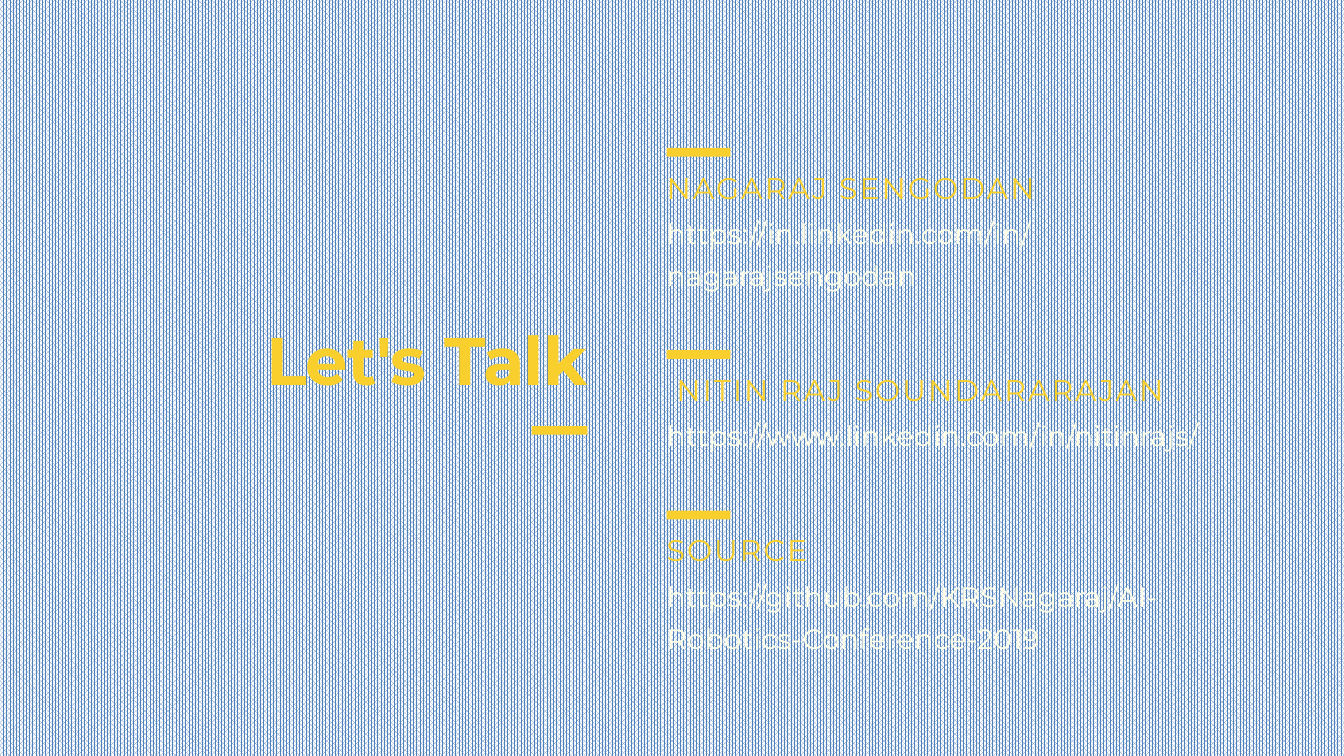
import pptx
import pptx.dml.color
import pptx.enum.dml
import pptx.enum.shapes
import pptx.enum.text
import pptx.util
from pptx.util import Inches

YELLOW = "F8CF2C"
CREAM = "FFFEE6"


def color(hex_string):
    return pptx.dml.color.RGBColor.from_string(hex_string)


class ContactSlide:
    """Holds the style and the slide being filled."""

    font_name = "Montserrat"
    bar_height = 0.13

    def __init__(self, presentation):
        self.slide = presentation.slides.add_slide(presentation.slide_layouts[5])

    def background(self, front, back):
        fill = self.slide.background.fill
        fill.patterned()
        fill.pattern = pptx.enum.dml.MSO_PATTERN.PERCENT_70
        fill.fore_color.rgb = color(front)
        fill.back_color.rgb = color(back)

    def set_text(self, shape, text, size, line_points, hex_color, spacing,
                 bold=False, align=pptx.enum.text.PP_ALIGN.LEFT):
        frame = shape.text_frame
        frame.text = text
        frame.word_wrap = True
        frame.auto_size = pptx.enum.text.MSO_AUTO_SIZE.NONE
        frame.vertical_anchor = pptx.enum.text.MSO_ANCHOR.TOP
        frame.margin_left = frame.margin_right = 0
        frame.margin_top = frame.margin_bottom = 0
        paragraph = frame.paragraphs[0]
        paragraph.alignment = align
        paragraph.line_spacing = pptx.util.Pt(line_points)
        font = paragraph.font
        font.name = self.font_name
        font.size = pptx.util.Pt(size)
        font.bold = bold
        font.color.rgb = color(hex_color)
        # Letter spacing, in hundredths of a point
        font._element.set("spc", str(round(spacing * 100)))

    def title(self, text, left, top, width, height):
        shape = self.slide.shapes.title
        shape.left, shape.top = Inches(left), Inches(top)
        shape.width, shape.height = Inches(width), Inches(height)
        self.set_text(shape, text, 72, 79.2, YELLOW, -0.7, bold=True,
                      align=pptx.enum.text.PP_ALIGN.RIGHT)

    def text_box(self, text, left, top, width, height, **style):
        shape = self.slide.shapes.add_textbox(
            Inches(left), Inches(top), Inches(width), Inches(height))
        self.set_text(shape, text, **style)

    def bar(self, left, top, width):
        shape = self.slide.shapes.add_shape(
            pptx.enum.shapes.MSO_SHAPE.RECTANGLE,
            Inches(left), Inches(top), Inches(width), Inches(self.bar_height))
        shape.shadow.inherit = False
        shape.fill.solid()
        shape.fill.fore_color.rgb = color(YELLOW)
        shape.line.fill.background()

    def contact(self, name, address, top, address_height):
        left, width = 9.92, 9.04
        self.bar(left, top, 0.95)
        self.text_box(name, left, top + 0.23, width, 0.57,
                      size=32, line_points=44.8, hex_color=YELLOW, spacing=2.2)
        self.text_box(address, left, top + 0.9, width, address_height,
                      size=30, line_points=45, hex_color=CREAM, spacing=0.3)


def main():
    presentation = pptx.Presentation()
    presentation.slide_width = Inches(20)
    presentation.slide_height = Inches(11.25)

    page = ContactSlide(presentation)
    page.background("4F81BD", "FFFFFF")

    # Heading with its accent bar
    page.title("Let's Talk", 0.42, 4.83, 8.33, 1.15)
    page.bar(7.91, 6.34, 0.83)

    # Contacts: name, address, top of the block, height of the address
    contacts = [
        ("NAGARAJ SENGODAN",
         "https://in.linkedin.com/in/nagarajsengodan", 2.2, 1.19),
        (" NITIN RAJ SOUNDARARAJAN",
         "https://www.linkedin.com/in/nitinrajs/", 5.21, 0.56),
        ("SOURCE",
         "https://github.com/KRSNagaraj/AI-Robotics-Conference-2019", 7.6, 1.19),
    ]
    for contact in contacts:
        page.contact(*contact)

    presentation.save("out.pptx")


if __name__ == "__main__":
    main()
